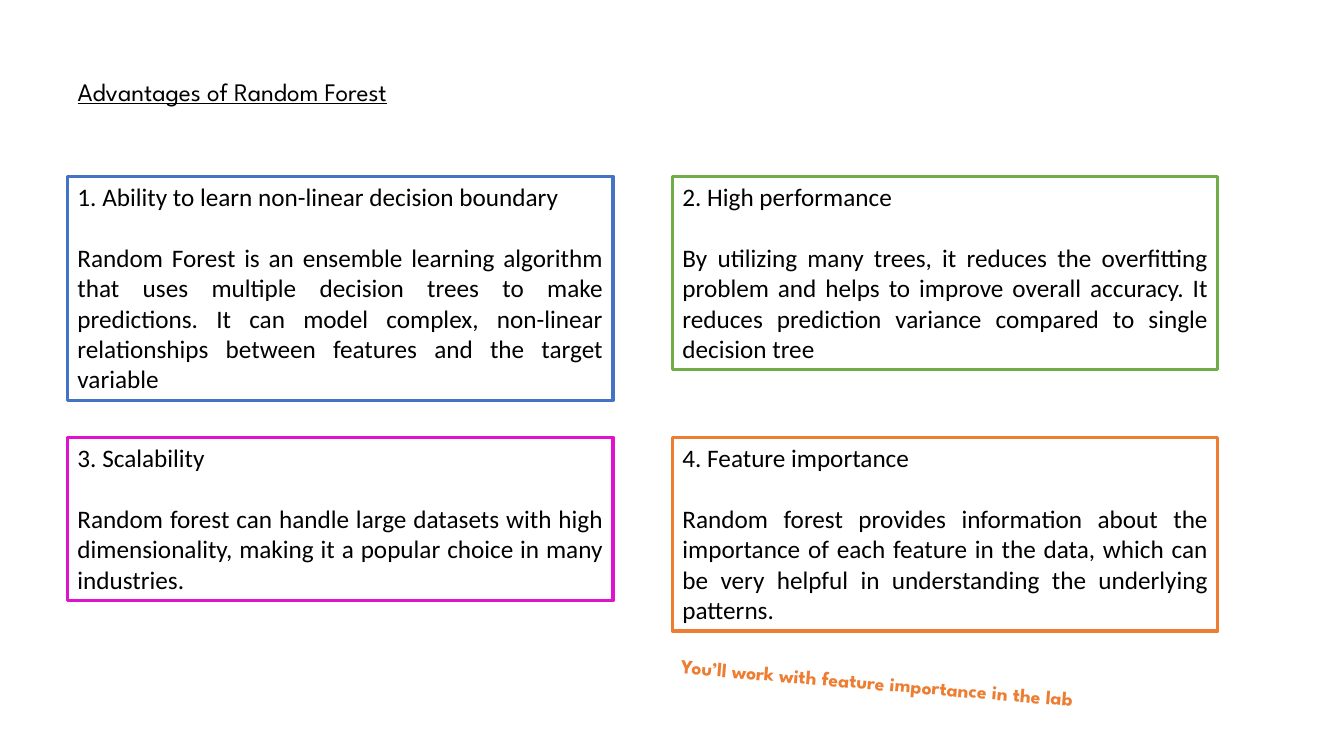
from pptx import Presentation
from pptx.dml.color import RGBColor
from pptx.enum import text
from pptx.util import Inches, Pt

BLACK = RGBColor(0x00, 0x00, 0x00)
WHITE = RGBColor(0xFF, 0xFF, 0xFF)
BLUE = RGBColor(0x44, 0x72, 0xC4)
GREEN = RGBColor(0x70, 0xAD, 0x47)
MAGENTA = RGBColor(0xDE, 0x12, 0xCF)
ORANGE = RGBColor(0xED, 0x7D, 0x31)

TITLE = "Advantages of Random Forest"
# heading, explanation, outline colour, box height
ADVANTAGES = [
    ("1. Ability to learn non-linear decision boundary",
     "Random Forest is an ensemble learning algorithm that uses multiple decision "
     "trees to make predictions. It can model complex, non-linear relationships "
     "between features and the target variable", BLUE, 2.22),
    ("2. High performance",
     "By utilizing many trees, it reduces the overfitting problem and helps to "
     "improve overall accuracy. It reduces prediction variance compared to single "
     "decision tree", GREEN, 1.92),
    ("3. Scalability",
     "Random forest can handle large datasets with high dimensionality, making it "
     "a popular choice in many industries.", MAGENTA, 1.62),
    ("4. Feature importance",
     "Random forest provides information about the importance of each feature in "
     "the data, which can be very helpful in understanding the underlying "
     "patterns.", ORANGE, 1.92),
]
LAB_NOTE = "You’ll work with feature importance in the lab"

TITLE_FONT = dict(name="League Spartan", size=Pt(18), underline=True)
BODY_FONT = dict(name="Calibri", size=Pt(18))
NOTE_FONT = dict(name="League Spartan", size=Pt(14), bold=True)

LEFT, TOP = 0.67, 1.75
COL_STEP, ROW_STEP = 6.0, 2.59
BOX_WIDTH = 5.41
HEADING_GAP = Pt(22)


def fill_text(sp, lines, font, color, gap=Pt(0)):
    """Write justified paragraphs from the top of a shape, gap apart."""
    tf = sp.text_frame
    tf.text = "\n".join(lines)
    frame = dict(word_wrap=True, vertical_anchor=text.MSO_ANCHOR.TOP,
                 auto_size=text.MSO_AUTO_SIZE.NONE)
    for name, value in frame.items():
        setattr(tf, name, value)
    for i, p in enumerate(tf.paragraphs):
        p.alignment = text.PP_ALIGN.JUSTIFY
        p.space_before = gap if i else Pt(0)
        r = p.runs[0]
        for name, value in font.items():
            setattr(r.font, name, value)
        r.font.color.rgb = color


def add_box(slide, left, top, width, height, outline):
    sp = slide.shapes.add_textbox(*map(Inches, (left, top, width, height)))
    sp.line.color.rgb = outline
    sp.line.width = Pt(2.25)
    return sp


def main():
    prs = Presentation()
    prs.slide_width, prs.slide_height = Inches(13.33), Inches(7.5)
    slide = prs.slides.add_slide(prs.slide_layouts.get_by_name("Title Only"))

    title = slide.shapes.title
    place = dict(left=LEFT, top=0.71, width=3.94, height=0.4)
    for name, value in place.items():
        setattr(title, name, Inches(value))
    fill_text(title, [TITLE], TITLE_FONT, BLACK)

    for i, (heading, explanation, outline, height) in enumerate(ADVANTAGES):
        row, col = divmod(i, 2)
        box = add_box(slide, LEFT + col * COL_STEP, TOP + row * ROW_STEP,
                      BOX_WIDTH, height, outline)
        fill_text(box, [heading, explanation], BODY_FONT, BLACK, HEADING_GAP)

    note = add_box(slide, 6.65, 6.63, 4.69, 0.34, WHITE)
    note.rotation = 4.8
    fill_text(note, [LAB_NOTE], NOTE_FONT, ORANGE)

    prs.save("out.pptx")


if __name__ == "__main__":
    main()
